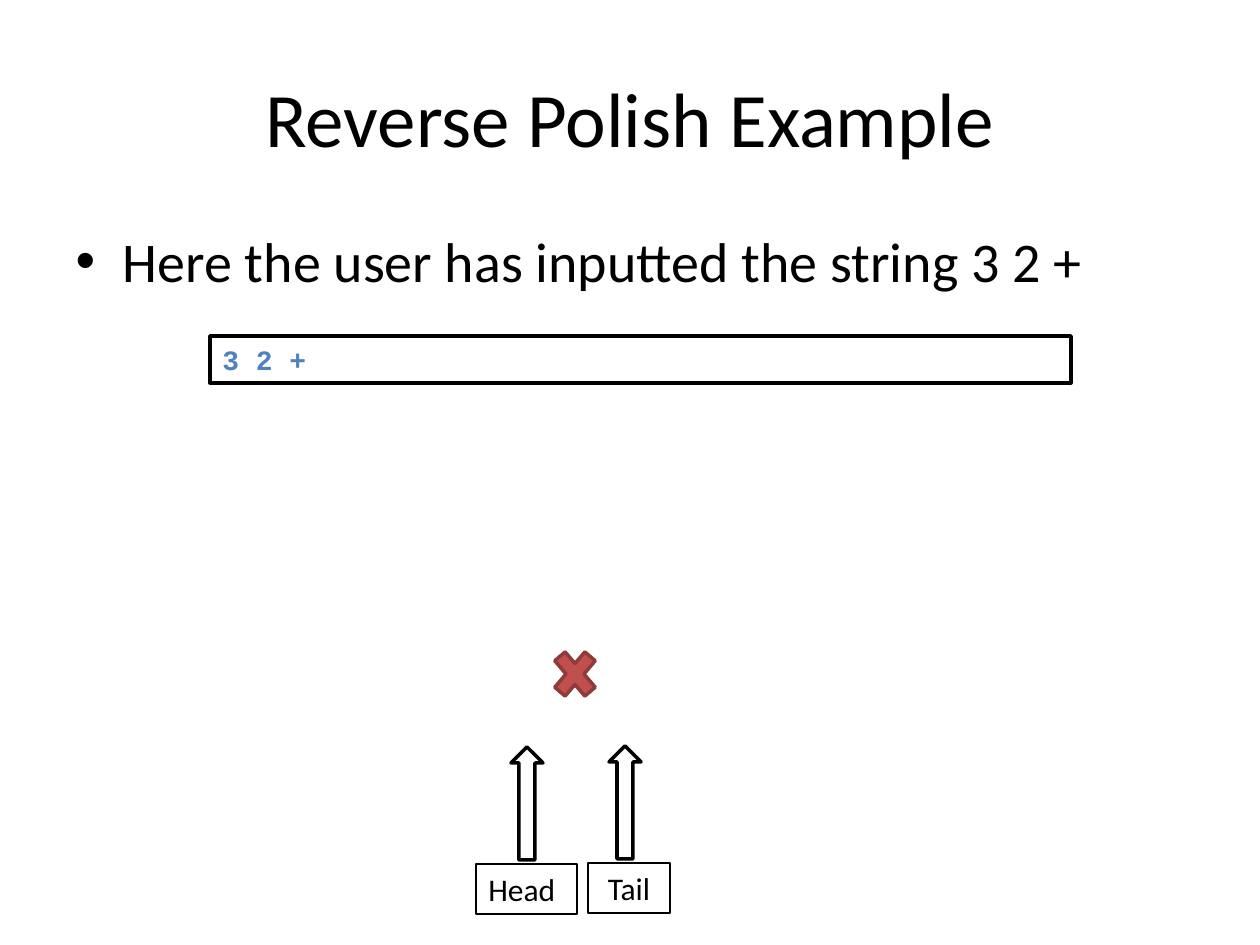
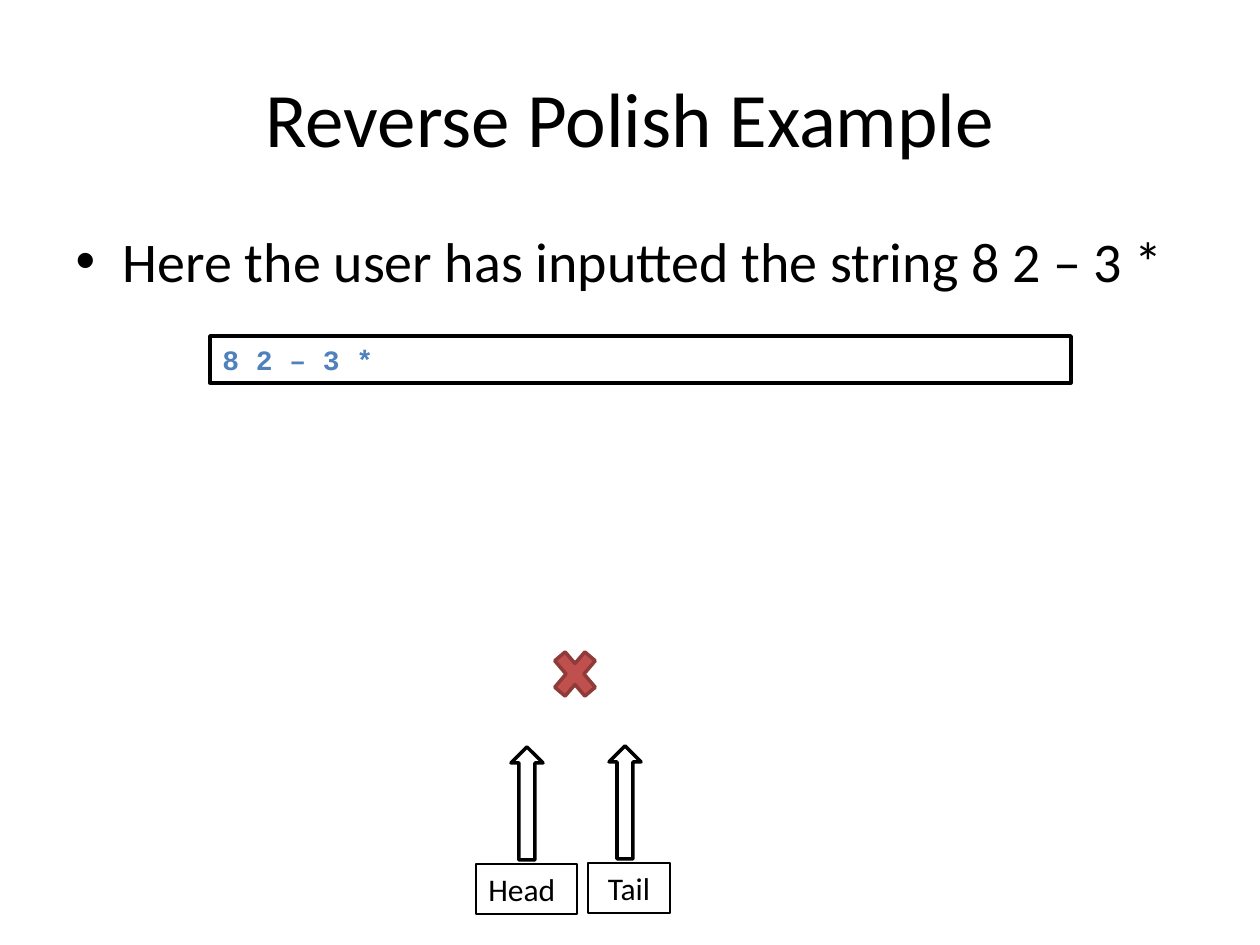
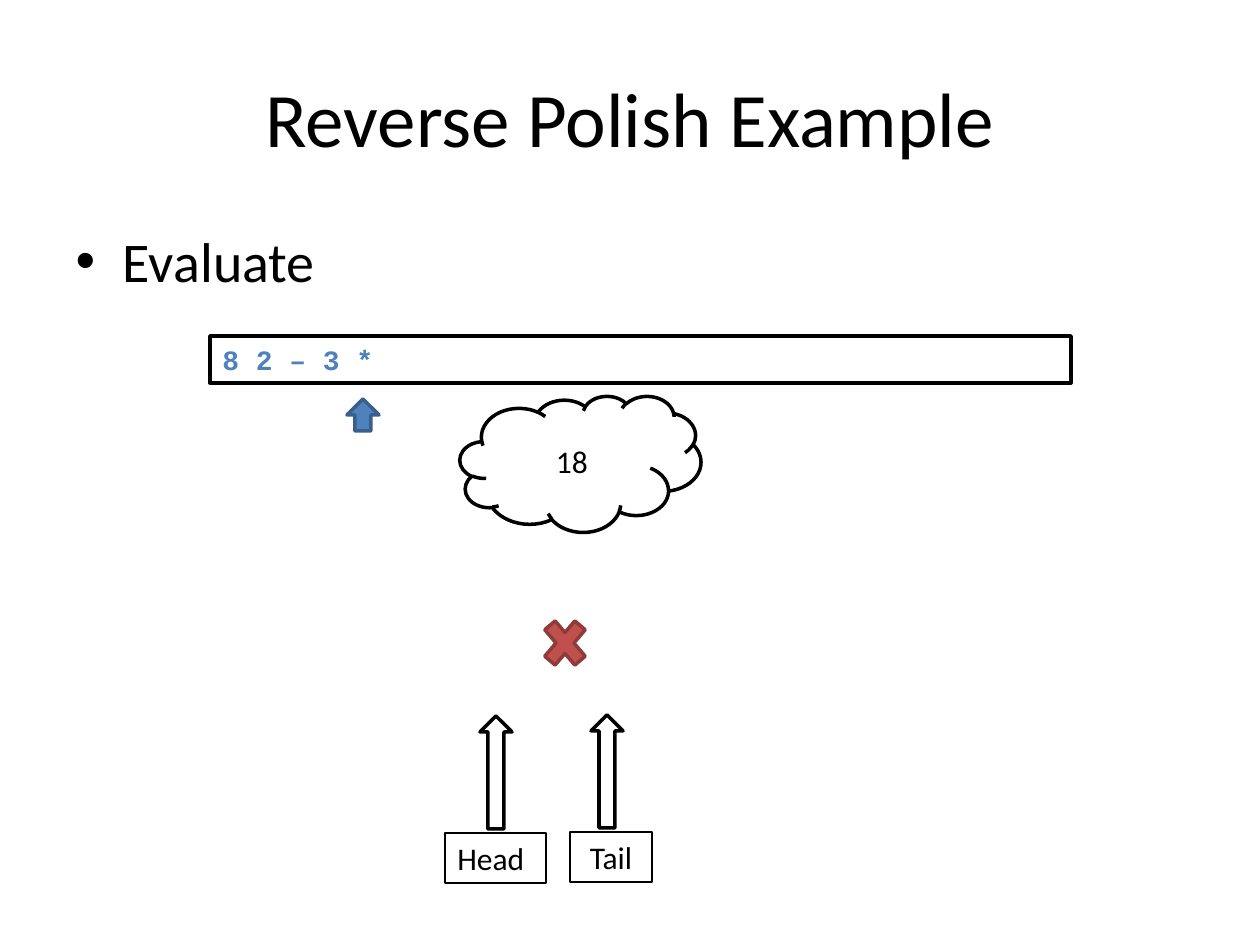
from pptx import Presentation
from pptx.dml.color import RGBColor
from pptx.enum.shapes import MSO_SHAPE
from pptx.enum.text import MSO_ANCHOR, MSO_AUTO_SIZE, PP_ALIGN
from pptx.util import Emu, Pt

RECTANGLE = MSO_SHAPE.RECTANGLE
UP_ARROW = MSO_SHAPE.UP_ARROW
CROSS = MSO_SHAPE.MATH_MULTIPLY
CLOUD = MSO_SHAPE.CLOUD
LEFT, CENTER = PP_ALIGN.LEFT, PP_ALIGN.CENTER
TOP, MIDDLE = MSO_ANCHOR.TOP, MSO_ANCHOR.MIDDLE
GROW = MSO_AUTO_SIZE.SHAPE_TO_FIT_TEXT

EMU_PER_PX = 914400 / 126
SLIDE_SIZE = (1260, 945)
TITLE_BOX = (63, 38, 1134, 158)
BODY_BOX = (63, 220, 1134, 624)
INPUT_BOX = (210, 336, 861, 47)
HEAD_WIDTH, TAIL_WIDTH = 101, 82
LABEL_DROP, LABEL_HEIGHT = 117, 50
ARROW_WIDTH, ARROW_HEIGHT = 32, 113

TITLE = "Reverse Polish Example"
BLACK, WHITE = "000000", "FFFFFF"
BLUE, DARK_BLUE = "4F81BD", "3A5F8C"
RED, DARK_RED = "C0504D", "8E3B39"


def px(length):
    return Emu(round(length * EMU_PER_PX))


def color(hex_code):
    return RGBColor.from_string(hex_code)


def put_text(holder, text, size=18, font="Calibri", ink=BLACK, bold=False,
             align=LEFT, anchor=TOP, grow=False):
    frame = holder.text_frame
    frame.word_wrap = True
    frame.vertical_anchor = anchor
    if grow:
        frame.auto_size = GROW
    paragraph = frame.paragraphs[0]
    paragraph.alignment = align
    paragraph.space_before = Pt(0)
    run = paragraph.add_run()
    run.text = text
    run.font.size = Pt(size)
    run.font.name = font
    run.font.bold = bold
    run.font.color.rgb = color(ink)


def place(holder, box):
    holder.left, holder.top, holder.width, holder.height = map(px, box)


def add_figure(slide, kind, box, fill=WHITE, line=BLACK, weight=2):
    figure = slide.shapes.add_shape(kind, *map(px, box))
    figure.shadow.inherit = False
    if fill:
        figure.fill.solid()
        figure.fill.fore_color.rgb = color(fill)
    else:
        figure.fill.background()
    figure.line.color.rgb = color(line)
    figure.line.width = Pt(weight)
    return figure


def add_pointer(slide, label, left, top, width, arrow_inset, align):
    label_box = (left, top + LABEL_DROP, width, LABEL_HEIGHT)
    tag = add_figure(slide, RECTANGLE, label_box, fill=None, weight=0.75)
    put_text(tag, label, align=align, grow=True)
    add_figure(slide, UP_ARROW,
               (left + arrow_inset, top, ARROW_WIDTH, ARROW_HEIGHT))


def add_empty_queue(slide, head, cross, tail):
    add_pointer(slide, "Head", *head, HEAD_WIDTH, 35, LEFT)
    add_figure(slide, CROSS, (*cross, 58, 68), RED, DARK_RED)
    add_pointer(slide, "Tail", *tail, TAIL_WIDTH, 21, CENTER)


def add_input(slide, expression):
    field = add_figure(slide, RECTANGLE, INPUT_BOX)
    put_text(field, expression, size=16, font="Courier New", ink=BLUE,
             bold=True, grow=True)


def add_result(slide, box, value):
    left, top, width, height = box
    add_figure(slide, UP_ARROW, (left, top + 3, 32, 32), BLUE, DARK_BLUE)
    thought = add_figure(slide, CLOUD, (left + 113, top, width - 113, height))
    put_text(thought, value, align=CENTER, anchor=MIDDLE)


def add_example(deck, step, expression, head, cross, tail):
    slide = deck.slides.add_slide(deck.slide_layouts[1])
    title, body = slide.shapes.title, slide.placeholders[1]
    place(title, TITLE_BOX)
    put_text(title, TITLE, size=44, align=CENTER, anchor=MIDDLE)
    place(body, BODY_BOX)
    put_text(body, step, size=32)
    add_empty_queue(slide, head, cross, tail)
    add_input(slide, expression)
    return slide


def main():
    deck = Presentation()
    deck.slide_width, deck.slide_height = map(px, SLIDE_SIZE)
    for expression in ("3 2 +", "8 2 – 3 *"):
        add_example(deck, f"Here the user has inputted the string {expression}",
                    expression, (476, 747), (546, 640), (588, 746))
    evaluation = add_example(deck, "Evaluate", "8 2 – 3 *",
                             (445, 716), (536, 609), (570, 715))
    add_result(evaluation, (347, 396, 354, 136), "18")
    deck.save("out.pptx")


if __name__ == "__main__":
    main()
